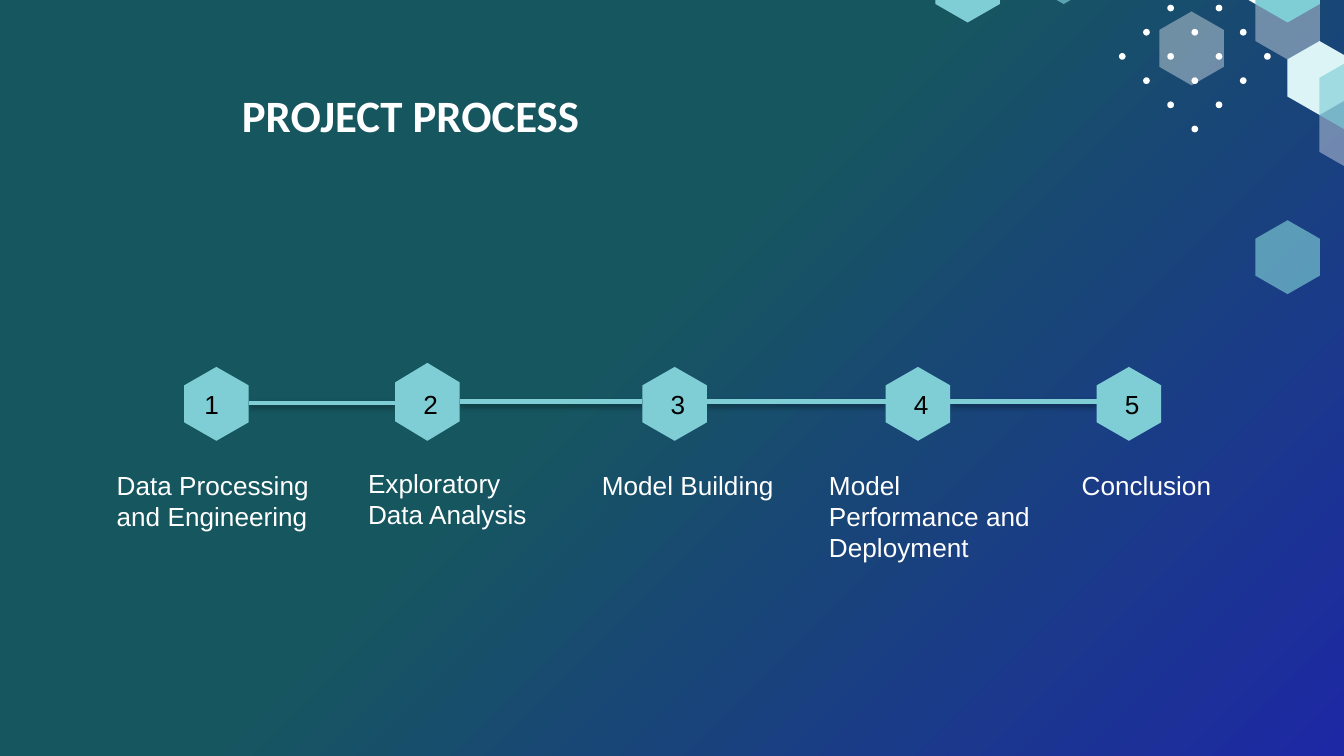
from lxml import etree
from pptx import Presentation, util as u
from pptx.dml import color
from pptx.enum import shapes, text
from pptx.oxml import ns

WIDTH = 10
HEIGHT = WIDTH * 9 / 16
AQUA, WHITE, ICE, BLACK = "7FCED6", "FFFFFF", "DDF4F7", "000000"
HEX_WIDTH, HEX_HEIGHT = 0.48, 0.55
FORMAT = {"name": "Arial", "size": u.Pt(14), "bold": False}


def rgb(value):
    return color.RGBColor.from_string(value)


def inches(*lengths):
    return [u.Inches(length) for length in lengths]


def add_child(parent, tag, **values):
    child = etree.SubElement(parent, ns.qn(tag))
    for name, value in values.items():
        child.set(name, str(value))
    return child


def paint(shape, fill, opacity=100):
    shape.shadow.inherit = False
    shape.fill.solid()
    shape.fill.fore_color.rgb = rgb(fill)
    shape.line.fill.background()
    if opacity < 100:
        tone = shape.fill._xPr.find(".//" + ns.qn("a:srgbClr"))
        add_child(tone, "a:alpha", val=opacity * 1000)


def write(shape, words, tint, margins, anchor, **changes):
    """Fill a shape with one left-aligned paragraph; margins run left, top, right, bottom."""
    frame = shape.text_frame
    frame.word_wrap = True
    frame.auto_size = text.MSO_AUTO_SIZE.NONE
    frame.vertical_anchor = anchor
    for side, margin in zip(("left", "top", "right", "bottom"), inches(*margins)):
        setattr(frame, "margin_" + side, margin)
    para = frame.paragraphs[0]
    para.alignment = text.PP_ALIGN.LEFT
    span = para.add_run()
    span.text = words
    for name, value in {**FORMAT, **changes}.items():
        setattr(span.font, name, value)
    span.font.color.rgb = rgb(tint)


def add_hexagon(page, box, fill, opacity=100):
    """Draw a hexagon that stands on its point and fills the box."""
    left, top, width, height = box
    outline = [(0.5, 0), (1, 0.25), (1, 0.75), (0.5, 1), (0, 0.75), (0, 0.25)]
    points = [inches(left + x * width, top + y * height) for x, y in outline]
    builder = page.shapes.build_freeform(*points[0], scale=1.0)
    builder.add_line_segments(points[1:], close=True)
    hexagon = builder.convert_to_shape()
    paint(hexagon, fill, opacity)
    return hexagon


def add_background(page):
    fill = page.background.fill
    fill.gradient()
    fill.gradient_angle = 315
    for stop, (position, tone) in zip(fill.gradient_stops, [(0.45, "16565F"), (1, "1D28A4")]):
        stop.position = position
        stop.color.rgb = rgb(tone)


def add_dots(page, center, step, size):
    """Set dots on every other crossing of a diamond-shaped lattice."""
    for row in range(-2, 4):
        reach = 3 - abs(row)
        for column in range(-reach, reach + 1, 2):
            x, y = center[0] + column * step, center[1] + row * step
            dot = page.shapes.add_shape(shapes.MSO_SHAPE.OVAL,
                                        *inches(x - size / 2, y - size / 2, size, size))
            paint(dot, WHITE)


def add_honeycomb(page, left, top):
    """Place hexagons by half-width columns and quarter-height rows."""
    cells = [
        (10, 3, WHITE, 38), (9, 0, WHITE, 100), (3, 0, AQUA, 65), (11, 6, ICE, 100),
        (12, 9, WHITE, 38), (7, 4.4, WHITE, 38), (10, 1, AQUA, 100), (0, 1, AQUA, 100),
        (12, 7, AQUA, 65), (10, 15.7, AQUA, 65),
    ]
    for column, row, fill, opacity in cells:
        box = (left + column * 0.238, top + row * HEX_HEIGHT / 4, HEX_WIDTH, HEX_HEIGHT)
        add_hexagon(page, box, fill, opacity)


def add_title(page, box, words):
    title = page.shapes.title
    title.left, title.top, title.width, title.height = inches(*box)
    write(title, words, WHITE, [0.1] * 4, text.MSO_ANCHOR.MIDDLE,
          name="Calibri", size=u.Pt(24), bold=True)


def add_link(page, start, end, y, weight):
    link = page.shapes.add_connector(shapes.MSO_CONNECTOR.STRAIGHT, *inches(start, y, end, y))
    link.line.color.rgb = rgb(AQUA)
    link.line.width = u.Pt(weight)
    effects = add_child(link._element.spPr, "a:effectLst")
    shadow = add_child(effects, "a:outerShdw", blurRad=u.Pt(3.1), dist=u.Pt(1.6),
                       dir=90 * 60000, rotWithShape=0)
    add_child(add_child(shadow, "a:srgbClr", val=BLACK), "a:alpha", val=38000)


def add_timeline(page, top, steps):
    """Draw numbered hexagons joined by links, with a label under each."""
    lefts = [step["left"] for step in steps]
    for index, (start, end) in enumerate(zip(lefts, lefts[1:])):
        # The first link is a little thinner than the rest
        y, weight = (3, 2) if index == 0 else (2.99, 2.5)
        add_link(page, start + HEX_WIDTH, end, y, weight)
    for number, step in enumerate(steps, 1):
        rise = step.get("rise", 0)
        hexagon = add_hexagon(page, (step["left"], top - rise, HEX_WIDTH, HEX_HEIGHT + rise), AQUA)
        indent = 0.15 if number == 1 else 0.21
        write(hexagon, str(number), BLACK, (indent, 0.1 + rise, 0.1, 0.1), text.MSO_ANCHOR.MIDDLE)
        x, width, height = step["label_box"]
        label = page.shapes.add_textbox(*inches(x, top + 0.71 - rise / 2, width, height))
        write(label, step["label"], WHITE, (0.1, 0.05, 0.1, 0.05), text.MSO_ANCHOR.TOP)


def main():
    deck = Presentation()
    deck.slide_width, deck.slide_height = inches(WIDTH, HEIGHT)
    page = deck.slides.add_slide(deck.slide_layouts[5])
    add_background(page)
    add_dots(page, center=(8.89, 0.42), step=0.18, size=0.05)
    add_honeycomb(page, left=6.96, top=-0.52)
    add_title(page, (1.7, 0.56, 8.43, 0.58), "PROJECT PROCESS")
    add_timeline(page, 2.73, [
        {"left": 1.37, "label": "Data Processing and Engineering", "label_box": (0.77, 1.66, 0.57)},
        {"left": 2.94, "label": "Exploratory Data Analysis", "label_box": (2.64, 1.54, 0.57),
         "rise": 0.03},
        {"left": 4.78, "label": "Model Building", "label_box": (4.38, 1.54, 0.34)},
        {"left": 6.59, "label": "Model Performance and Deployment", "label_box": (6.07, 1.8, 0.81)},
        {"left": 8.16, "label": "Conclusion", "label_box": (7.95, 1.27, 0.34)},
    ])
    deck.save("out.pptx")


if __name__ == "__main__":
    main()
